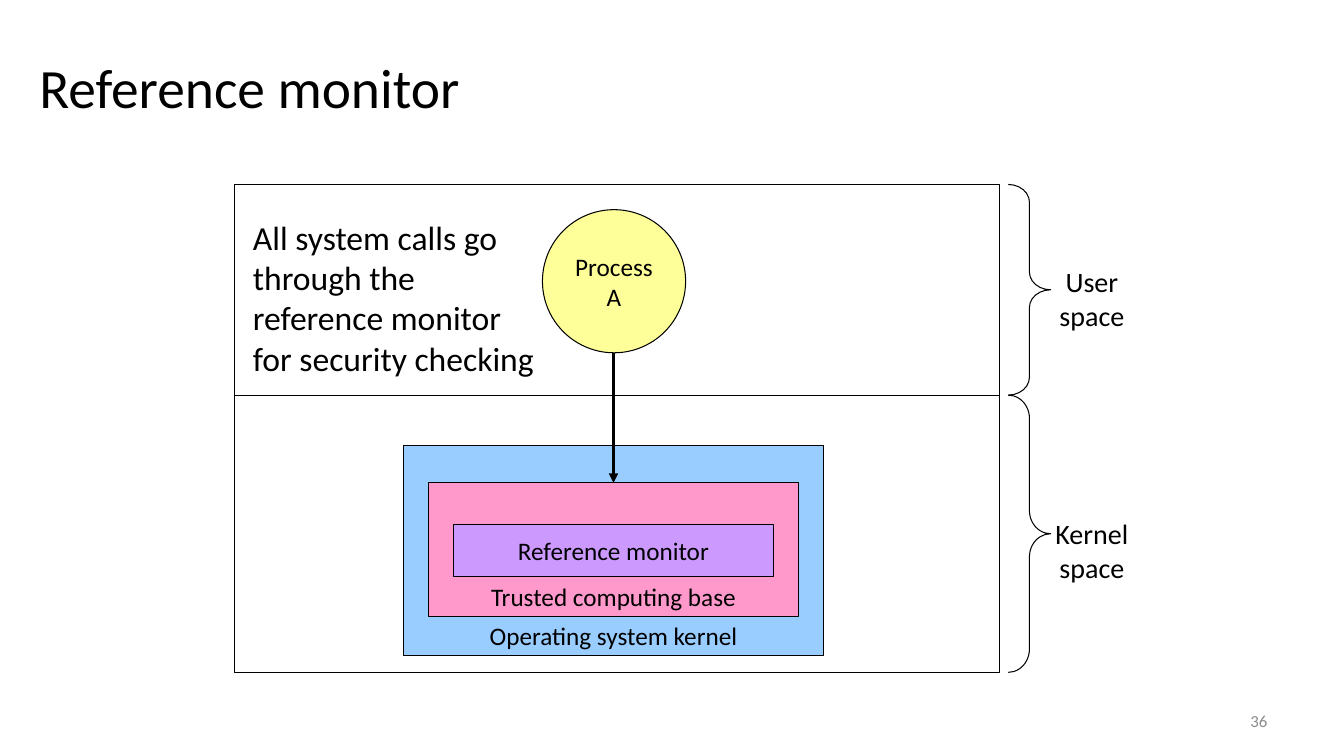
from collections import namedtuple

from lxml.etree import SubElement
from pptx import Presentation
from pptx.dml.color import RGBColor
from pptx.enum.shapes import MSO_CONNECTOR, MSO_SHAPE
from pptx.enum.text import MSO_ANCHOR, MSO_AUTO_SIZE, PP_ALIGN
from pptx.oxml.ns import qn
from pptx.util import Pt

EMU_PER_PX = 9144
BLACK = RGBColor(0x00, 0x00, 0x00)
WHITE = RGBColor(0xFF, 0xFF, 0xFF)
GRAY = RGBColor(0x8C, 0x8C, 0x8C)
BLUE = RGBColor(0x99, 0xCC, 0xFF)
PINK = RGBColor(0xFF, 0x99, 0xCC)
PURPLE = RGBColor(0xCC, 0x99, 0xFF)
YELLOW = RGBColor(0xFF, 0xFF, 0x99)

Box = namedtuple("Box", "left top width height")


def px(length):
    return length * EMU_PER_PX


def emu(box):
    return [px(length) for length in box]


def inside(box, left, top, width, height):
    return Box(box.left + left, box.top + top, width, height)


def write(owner, text, size, color=BLACK, align=PP_ALIGN.CENTER,
          anchor=MSO_ANCHOR.MIDDLE, wrap=False):
    frame = owner.text_frame
    frame.text = text
    frame_format = {"word_wrap": wrap, "vertical_anchor": anchor,
                    "auto_size": MSO_AUTO_SIZE.NONE}
    for name, value in frame_format.items():
        setattr(frame, name, value)
    paragraph = frame.paragraphs[0]
    paragraph.alignment = align
    font_format = {"name": "Calibri", "size": Pt(size)}
    for run in paragraph.runs:
        for name, value in font_format.items():
            setattr(run.font, name, value)
        run.font.color.rgb = color


def add_outlined(slide, preset, box, fill=None):
    outlined = slide.shapes.add_shape(preset, *emu(box))
    outlined.shadow.inherit = False
    if fill is None:
        outlined.fill.background()
    else:
        outlined.fill.solid()
        outlined.fill.fore_color.rgb = fill
    outlined.line.color.rgb = BLACK
    outlined.line.width = Pt(0.75)
    return outlined


def add_label(slide, box, text, size, **text_format):
    write(slide.shapes.add_textbox(*emu(box)), text, size, **text_format)


def add_space(slide, box, name, curl, name_top):
    add_outlined(slide, MSO_SHAPE.RECTANGLE, box, WHITE)
    brace_box = inside(box, box.width + 9, 0, 42, box.height)
    brace = add_outlined(slide, MSO_SHAPE.RIGHT_BRACE, brace_box)
    brace.adjustments[0] = curl
    brace.adjustments[1] = 0.5
    add_label(slide, inside(brace_box, 35, name_top, 96, 77), name, 20,
              anchor=MSO_ANCHOR.TOP)


def add_kernel(slide, box):
    trusted_box = inside(box, 25, 37, 367, 133)
    monitor_box = inside(trusted_box, 25, 41, 317, 52)
    layers = {}
    for name, layer_box, fill, anchor in (
        ("Operating system kernel", box, BLUE, MSO_ANCHOR.BOTTOM),
        ("Trusted computing base", trusted_box, PINK, MSO_ANCHOR.BOTTOM),
        ("Reference monitor", monitor_box, PURPLE, MSO_ANCHOR.MIDDLE),
    ):
        layers[name] = add_outlined(slide, MSO_SHAPE.RECTANGLE, layer_box, fill)
        write(layers[name], name, 18, anchor=anchor)
    return layers["Trusted computing base"]


def add_process(slide, box):
    process = add_outlined(slide, MSO_SHAPE.OVAL, box, YELLOW)
    write(process, "Process\vA", 18)
    return process


def add_system_call(slide, process, trusted_base):
    center = trusted_base.left + trusted_base.width // 2
    call = slide.shapes.add_connector(
        MSO_CONNECTOR.STRAIGHT, center, process.top + process.height,
        center, trusted_base.top)
    call.end_connect(trusted_base, 0)
    call.line.color.rgb = BLACK
    call.line.width = Pt(2.25)
    SubElement(call.line._get_or_add_ln(), qn("a:tailEnd"), type="triangle")
    SubElement(call._element.spPr, qn("a:effectLst"))


def add_title(slide, box, text):
    title = slide.shapes.title
    for name, value in zip(box._fields, emu(box)):
        setattr(title, name, value)
    write(title, text, 39.6, align=PP_ALIGN.LEFT, wrap=True)


def build_monitor_slide(slide, box):
    add_title(slide, inside(box, 29, 50, 1200, 72), "Reference monitor")
    user_box = inside(box, 233, 183, 758, 209)
    kernel_box = inside(user_box, 0, user_box.height, user_box.width, 275)
    add_space(slide, user_box, "User\vspace", 0.42, 75)
    add_space(slide, kernel_box, "Kernel\vspace", 0.55, 116)
    trusted_base = add_kernel(slide, inside(kernel_box, 167, 50, 417, 208))
    process = add_process(slide, inside(user_box, 305, 25, 142, 142))
    add_system_call(slide, process, trusted_base)
    add_label(slide, inside(user_box, 8, 27, 305, 172),
              "All system calls go through the reference monitor "
              "for security checking", 24, align=PP_ALIGN.LEFT,
              anchor=MSO_ANCHOR.TOP, wrap=True)
    add_label(slide, inside(box, 956, 695, 311, 40), "36", 12, color=GRAY,
              align=PP_ALIGN.RIGHT, wrap=True)


def main():
    presentation = Presentation()
    page = Box(0, 0, 1333, 750)
    presentation.slide_width = px(page.width)
    presentation.slide_height = px(page.height)
    slide = presentation.slides.add_slide(presentation.slide_layouts[5])
    build_monitor_slide(slide, page)
    presentation.save("out.pptx")


if __name__ == "__main__":
    main()
